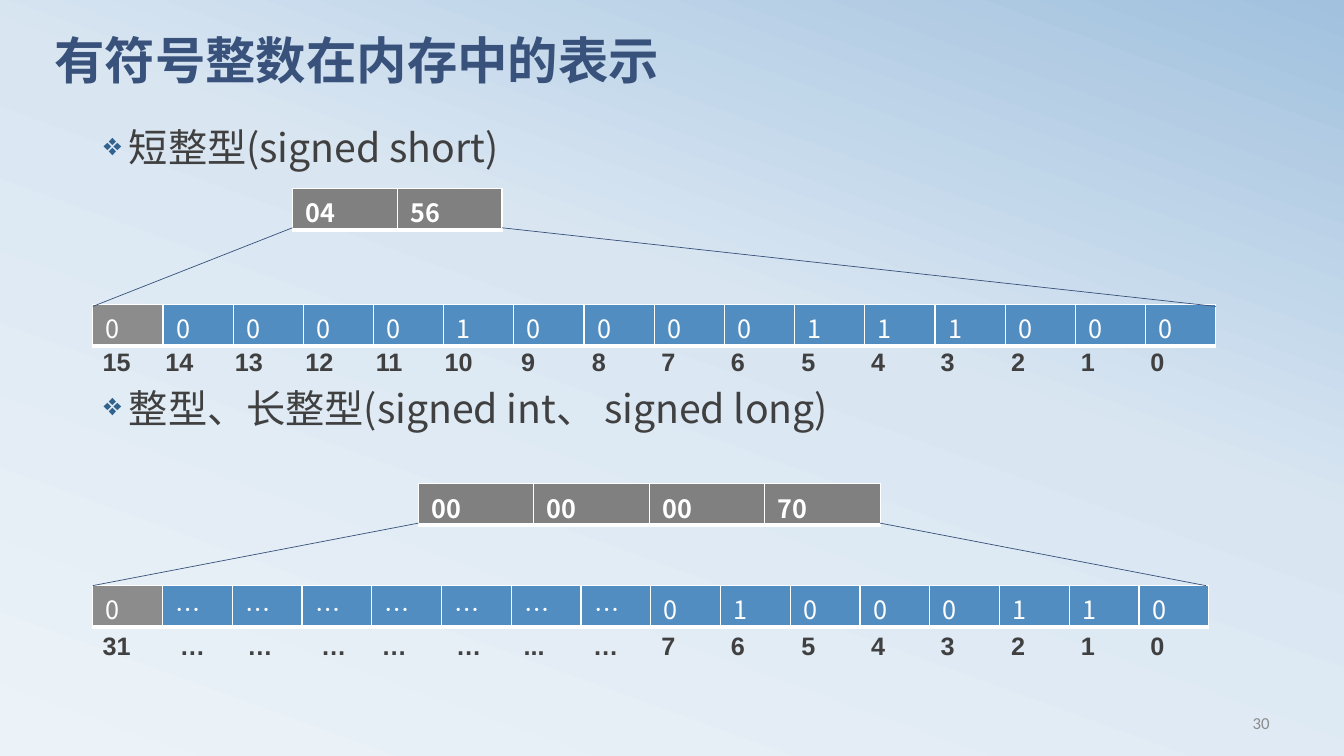
from copy import deepcopy
from dataclasses import dataclass

from lxml import etree
from pptx import Presentation, util as u
from pptx.dml import color as dml
from pptx.enum import shapes, text
from pptx.oxml import ns

SANS, WHITE, GREY, BLUE, NAVY, INK = (
    "Noto Sans CJK SC", "FFFFFF", "808080", "528DC2", "39527B", "404040")
SIGN = "8C8C8C"
LEFT, TALL = 0.92, 0.41
STOPS = [round(0.76 + 0.693 * k, 2) for k in range(15)]
DOTS = [0.89, 1.56, 2.29, 2.89, 3.63, 4.28, 4.99]


@dataclass
class Row:
    left: float
    top: float
    width: float
    cells: list[str]
    fills: list[str]
    bold: bool


@dataclass
class Zoom:
    """Bytes of a number, opened out into numbered bits."""
    bytes: Row
    bits: Row
    foot: float
    right: float
    label: str
    label_top: float
    stops: list[float]


def rgb(code: str) -> dml.RGBColor:
    return dml.RGBColor.from_string(code)


def sub(parent, tag: str, **attrs: str):
    return etree.SubElement(parent, ns.qn(tag), attrs)


def style(para, size: float, font: str, color: str, bold: bool = False) -> None:
    for run in para.runs:
        run.font.size, run.font.name, run.font.bold = u.Pt(size), font, bold
        run.font.color.rgb = rgb(color)
        sub(run.font._element, "a:ea", typeface=SANS)


def add_text(slide, left: float, top: float, width: float, height: float, words: str):
    box = slide.shapes.add_textbox(*map(u.Inches, (left, top, width, height)))
    box.text_frame.word_wrap = True
    box.text_frame.text = words
    return box.text_frame


def add_row(slide, row: Row) -> None:
    count = len(row.cells)
    table = slide.shapes.add_table(
        1, count, *map(u.Inches, (row.left, row.top, row.width, TALL))).table
    table.horz_banding = False
    for spot, (word, fill) in enumerate(zip(row.cells, row.fills)):
        table.columns[spot].width = u.Inches(row.width / count)
        cell = table.cell(0, spot)
        cell.text = word
        cell.margin_left = cell.margin_right = u.Inches(0.13)
        style(cell.text_frame.paragraphs[0], 18, SANS, WHITE, row.bold)
        props = cell._tc.get_or_add_tcPr()
        for side, thick in (("L", 1), ("R", 1), ("T", 1), ("B", 3)):
            edge = sub(props, f"a:ln{side}", w=str(u.Pt(thick)))
            sub(sub(edge, "a:solidFill"), "a:srgbClr", val=WHITE)
        cell.fill.solid()
        cell.fill.fore_color.rgb = rgb(fill)


def add_line(slide, *ends: float) -> None:
    line = slide.shapes.add_connector(
        shapes.MSO_CONNECTOR.STRAIGHT, *map(u.Inches, ends))
    line.line.color.rgb = rgb(NAVY)
    line.line.width = u.Pt(0.5)
    sub(line._element.spPr, "a:effectLst")


def add_zoom(slide, zoom: Zoom) -> None:
    top = zoom.bytes
    add_row(slide, top)
    add_row(slide, zoom.bits)
    add_line(slide, top.left, top.top + 0.39, LEFT, zoom.foot)
    add_line(slide, top.left + top.width, top.top + 0.39, zoom.right, zoom.foot)
    para = add_text(slide, LEFT, zoom.label_top, 11.25, 0.4,
                    "\t".join(zoom.label.split())).paragraphs[0]
    style(para, 18, "Arial", INK, True)
    tabs = sub(para._p.get_or_add_pPr(), "a:tabLst")
    for stop in zoom.stops:
        sub(tabs, "a:tab", pos=str(u.Inches(stop)), algn="ctr")


def add_heads(slide) -> None:
    frame = add_text(slide, 0.93, 1.23, 11.25, 4.88,
                     "短整型(signed short)\n整型、长整型(signed int、 signed long)")
    for para, gap in zip(frame.paragraphs, (18, 156)):
        para.line_spacing, para.space_before = 0.9, u.Pt(gap)
        style(para, 28, SANS, INK)
        props = para._p.get_or_add_pPr()
        props.set("marL", str(u.Inches(0.25)))
        props.set("indent", str(-u.Inches(0.25)))
        sub(sub(props, "a:buClr"), "a:srgbClr", val="32628E")
        sub(props, "a:buSzPct", val="80000")
        sub(props, "a:buChar", char="❖")


def paint_back(slide) -> None:
    fill = slide.background.fill
    fill.gradient()
    fill.gradient_angle = 70
    first = slide.element.xpath(".//a:gs")[0]
    first.addnext(deepcopy(first))
    shades = ((0, "ECF3F8"), (0.58, "D9E6F2"), (1, "A1C1DE"))
    for stop, (place, shade) in zip(fill.gradient_stops, shades):
        stop.position = place
        stop.color.rgb = rgb(shade)


def main() -> None:
    deck = Presentation()
    deck.slide_width, deck.slide_height = u.Inches(13.33), u.Inches(7.5)
    slide = deck.slides.add_slide(deck.slide_layouts[6])
    paint_back(slide)

    title = add_text(slide, 0.44, 0.36, 12, 0.94, "有符号整数在内存中的表示").paragraphs[0]
    title.line_spacing = 0.8
    style(title, 36, "Calibri", NAVY, True)
    add_heads(slide)

    tones = [SIGN] + [BLUE] * 15
    zooms = [
        Zoom(Row(2.9, 1.87, 2.08, ["04", "56"], [GREY] * 2, True),
             Row(LEFT, 3.02, 11.14, list("0000010000111000"), tones, False),
             3.04, 12.06, "15 14 13 12 11 10 9 8 7 6 5 4 3 2 1 0", 3.39, STOPS),
        Zoom(Row(4.15, 4.8, 4.58, ["00", "00", "00", "70"], [GREY] * 4, True),
             Row(LEFT, 5.81, 11.07, list("0………………01000110"), tones, False),
             5.81, 11.96, "31 … … … … … ... … 7 6 5 4 3 2 1 0", 6.2,
             DOTS + STOPS[7:]),
    ]
    # Seven dotted bits stand for bits 30 to 8.
    zooms[1].bits.cells = ["0"] + ["…"] * 7 + list("01000110")
    for zoom in zooms:
        add_zoom(slide, zoom)

    page = add_text(slide, 9.58, 6.97, 3.11, 0.4, "30")
    page.vertical_anchor = text.MSO_ANCHOR.MIDDLE
    page.paragraphs[0].alignment = text.PP_ALIGN.RIGHT
    style(page.paragraphs[0], 12, "Calibri", SIGN)
    deck.save("out.pptx")


if __name__ == "__main__":
    main()
